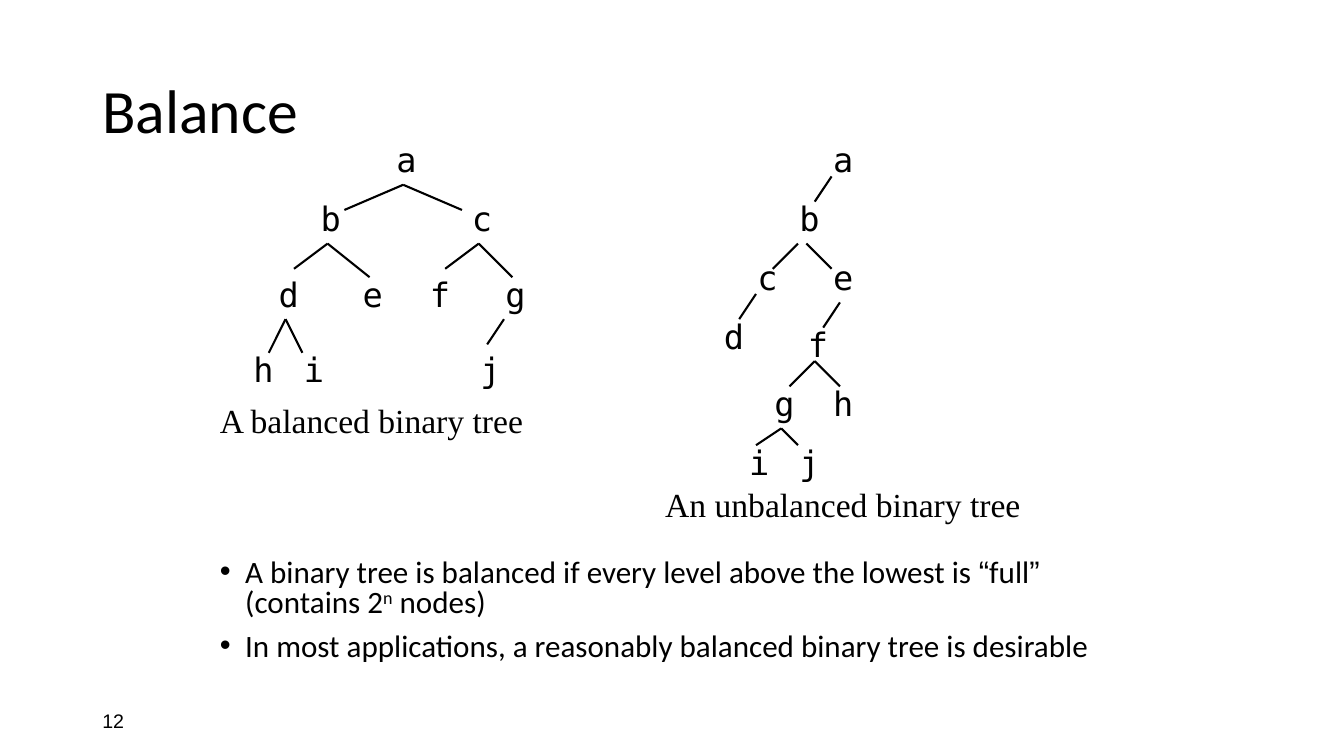
from dataclasses import dataclass
from typing import Any

import lxml.etree
import pptx
import pptx.dml.color
import pptx.enum.shapes
import pptx.enum.text
import pptx.oxml.ns
import pptx.util

Pt = pptx.util.Pt
qn = pptx.oxml.ns.qn
Anchor = pptx.enum.text.MSO_ANCHOR
STEP = 6  # points in one grid unit of the trees
INK = "000000"
MONO = {"name": "DejaVu Sans Mono", "size": Pt(24)}
SERIF = {"name": "Times New Roman", "size": Pt(24)}
TITLE = {"name": "Calibri", "size": Pt(44)}
BODY = {"name": "Calibri", "size": Pt(22.2)}
QUOTE = {**BODY, "name": "Arial"}
PAGE = {"name": "Arial", "size": Pt(14)}
ITEM = {"line_spacing": 0.8, "space_before": Pt(10)}


@dataclass
class Node:
    name: str
    x: int
    y: int


@dataclass
class Edge:
    x1: int
    y1: int
    x2: int
    y2: int


@dataclass
class Label:
    text: str
    x: int
    y: int
    width: int


@dataclass
class Tree:
    nodes: list[Node]
    edges: list[Edge]
    label: Label


@dataclass
class Span:
    text: str
    style: dict[str, Any]
    raised: bool = False


TREES = [
    Tree(
        [Node("a", 46, 16), Node("b", 37, 23), Node("c", 55, 23),
         Node("d", 32, 32), Node("e", 42, 32), Node("f", 50, 32),
         Node("g", 59, 32), Node("h", 29, 41), Node("i", 35, 41),
         Node("j", 56, 41)],
        [Edge(48, 22, 41, 25), Edge(48, 22, 55, 25), Edge(39, 29, 35, 32),
         Edge(39, 29, 44, 33), Edge(57, 29, 53, 32), Edge(57, 29, 61, 33),
         Edge(34, 38, 32, 42), Edge(34, 38, 36, 42), Edge(60, 38, 58, 41)],
        Label("A balanced binary tree", 25, 47, 41),
    ),
    Tree(
        [Node("a", 98, 16), Node("b", 94, 23), Node("c", 89, 30),
         Node("d", 85, 37), Node("e", 98, 30), Node("f", 95, 38),
         Node("g", 91, 45), Node("h", 98, 45), Node("i", 88, 52),
         Node("j", 94, 52)],
        [Edge(99, 21, 97, 24), Edge(95, 29, 92, 32), Edge(90, 35, 88, 38),
         Edge(96, 29, 99, 32), Edge(100, 36, 98, 39), Edge(97, 43, 94, 46),
         Edge(97, 43, 100, 46), Edge(93, 51, 90, 53), Edge(93, 51, 95, 53)],
        Label("An unbalanced binary tree", 78, 57, 45),
    ),
]
POINTS = [
    [Span("A binary tree is balanced if every level above the lowest is ", BODY),
     Span("“", QUOTE), Span("full", BODY), Span("”", QUOTE),
     Span(" (contains 2", BODY), Span("n", BODY, True), Span(" nodes)", BODY)],
    [Span("In most applications, a reasonably balanced binary tree is desirable", BODY)],
]


def color(code: str) -> pptx.dml.color.RGBColor:
    return pptx.dml.color.RGBColor.from_string(code)


def style(item: Any, values: dict[str, Any]) -> None:
    for key, value in values.items():
        setattr(item, key, value)


def write(para: Any, span: Span) -> None:
    run = para.add_run()
    run.text = span.text
    style(run.font, span.style)
    run.font.color.rgb = color(INK)
    if span.raised:
        run._r.get_or_add_rPr().set("baseline", "30000")


def frame(shapes: Any, x: float, y: float, width: float, height: float,
          anchor: Any = Anchor.TOP) -> Any:
    """Add a wrapping text box and return its text frame."""
    box = shapes.add_textbox(Pt(x), Pt(y), Pt(width), Pt(height))
    style(box.text_frame, {"word_wrap": True, "vertical_anchor": anchor})
    return box.text_frame


def bullet(para: Any) -> None:
    style(para, ITEM)
    props = para._p.get_or_add_pPr()
    props.set("marL", str(Pt(18)))
    props.set("indent", str(-Pt(18)))
    lxml.etree.SubElement(props, qn("a:buFont")).set("typeface", "Arial")
    lxml.etree.SubElement(props, qn("a:buChar")).set("char", "•")


def link(shapes: Any, edge: Edge) -> None:
    ends = (Pt(v * STEP) for v in (edge.x1, edge.y1, edge.x2, edge.y2))
    line = shapes.add_connector(pptx.enum.shapes.MSO_CONNECTOR.STRAIGHT, *ends)
    line.line.width = Pt(1.5)
    line.line.color.rgb = color(INK)
    lxml.etree.SubElement(line._element.spPr, qn("a:effectLst"))


def draw(slide: Any, tree: Tree) -> None:
    shapes = slide.shapes.add_group_shape().shapes
    for node in tree.nodes:
        text = frame(shapes, node.x * STEP, node.y * STEP, 5 * STEP, 6 * STEP)
        write(text.paragraphs[0], Span(node.name, MONO))
    for edge in tree.edges:
        link(shapes, edge)
    label = tree.label
    text = frame(shapes, label.x * STEP, label.y * STEP, label.width * STEP, 6 * STEP)
    write(text.paragraphs[0], Span(label.text, SERIF))


def main() -> None:
    deck = pptx.Presentation()
    style(deck, {"slide_width": Pt(960), "slide_height": Pt(540)})
    slide = deck.slides.add_slide(deck.slide_layouts[6])

    page = frame(slide.shapes, 66, 500.5, 216, 28.8, Anchor.MIDDLE)
    write(page.paragraphs[0], Span("12", PAGE))

    title = frame(slide.shapes, 66, 28.8, 828, 104.4, Anchor.MIDDLE)
    title.paragraphs[0].line_spacing = 0.9
    write(title.paragraphs[0], Span("Balance", TITLE))

    body = frame(slide.shapes, 150, 396.5, 675, 85.5)
    for index, spans in enumerate(POINTS):
        para = body.add_paragraph() if index else body.paragraphs[0]
        bullet(para)
        for span in spans:
            write(para, span)

    for tree in TREES:
        draw(slide, tree)
    deck.save("out.pptx")


if __name__ == "__main__":
    main()
